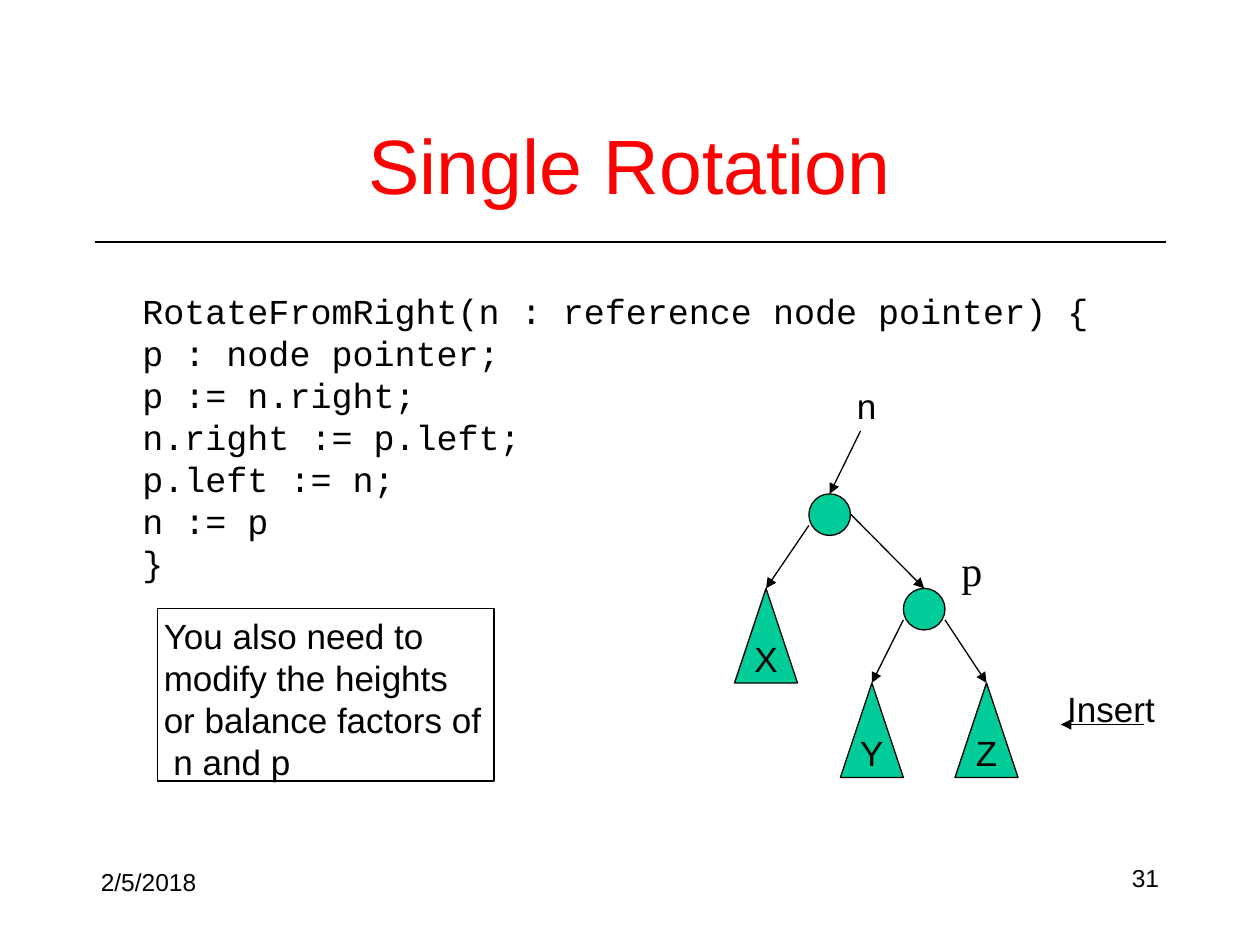
from lxml import etree
from pptx import Presentation
from pptx.dml.color import RGBColor
from pptx.enum.shapes import MSO_CONNECTOR, MSO_SHAPE
from pptx.enum.text import MSO_ANCHOR, MSO_AUTO_SIZE, PP_ALIGN
from pptx.oxml.ns import qn
from pptx.util import Inches, Pt

BLACK, RED, GREEN = "000000", "FF0000", "00CC99"
NODE_SIZE = 0.33
SUBTREE_WIDTH, SUBTREE_HEIGHT = 0.5, 0.75
CODE = [
    "RotateFromRight(n : reference node pointer) {",
    "p : node pointer;",
    "p := n.right;",
    "n.right := p.left;",
    "p.left := n;",
    "n := p",
    "}",
]


def color(hex_code):
    return RGBColor.from_string(hex_code)


def inches(*values):
    return [Inches(value) for value in values]


def write(shape, lines, size=20, font="Arial", ink=BLACK, wrap=True,
          align=PP_ALIGN.LEFT, anchor=MSO_ANCHOR.TOP, line_spacing=None):
    frame = shape.text_frame
    frame_format = {
        "word_wrap": wrap,
        "auto_size": MSO_AUTO_SIZE.NONE,
        "vertical_anchor": anchor,
        **{f"margin_{side}": Inches(0.05)
           for side in ("left", "top", "right", "bottom")},
    }
    for name, value in frame_format.items():
        setattr(frame, name, value)
    for index, line in enumerate(lines):
        paragraph = frame.add_paragraph() if index else frame.paragraphs[0]
        paragraph.text = line
        paragraph.alignment = align
        paragraph.line_spacing = line_spacing
        for name, value in {"name": font, "size": Pt(size)}.items():
            setattr(paragraph.font, name, value)
        paragraph.font.color.rgb = color(ink)


def add_text(slide, box, *lines, **style):
    write(slide.shapes.add_textbox(*inches(*box)), lines, **style)


def add_outlined(slide, kind, box, fill=None, width=0.75):
    shape = slide.shapes.add_shape(kind, *inches(*box))
    shape.shadow.inherit = False
    if fill:
        shape.fill.solid()
        shape.fill.fore_color.rgb = color(fill)
    else:
        shape.fill.background()
    shape.line.color.rgb = color(BLACK)
    shape.line.width = Pt(width)
    return shape


def add_line(slide, start, end, arrow=True, target=None):
    """Draw a line; a target shape is joined at its top."""
    line = slide.shapes.add_connector(MSO_CONNECTOR.STRAIGHT,
                                      *inches(*start, *end))
    line.line.color.rgb = color(BLACK)
    line.line.width = Pt(0.75)
    if arrow:
        etree.SubElement(line.line._get_or_add_ln(), qn("a:tailEnd"),
                         type="triangle")
    etree.SubElement(line._element.spPr, qn("a:effectLst"))
    if target is not None:
        line.end_connect(target, 0)


def add_header(slide, left, top, width, height):
    bottom = top + height
    add_line(slide, (left, bottom), (left + width, bottom), arrow=False)
    add_text(slide, (left, top, width, height), "Single Rotation", size=44,
             ink=RED, align=PP_ALIGN.CENTER, anchor=MSO_ANCHOR.MIDDLE)


def add_node(slide, left, top):
    return add_outlined(slide, MSO_SHAPE.OVAL,
                        (left, top, NODE_SIZE, NODE_SIZE), GREEN)


def add_subtree(slide, left, top, label):
    subtree = add_outlined(slide, MSO_SHAPE.ISOSCELES_TRIANGLE,
                           (left, top, SUBTREE_WIDTH, SUBTREE_HEIGHT), GREEN)
    add_text(slide, (left + 0.1, top + 0.35, 0.3, 0.41), label, wrap=False,
             align=PP_ALIGN.CENTER, anchor=MSO_ANCHOR.MIDDLE)
    return subtree


def add_tree(slide, left, top):
    def at(x, y):
        return left + x, top + y

    node_n = add_node(slide, *at(0.59, 0.92))
    node_p = add_node(slide, *at(1.34, 1.67))
    subtree_x = add_subtree(slide, *at(0, 1.67), "X")
    subtree_y = add_subtree(slide, *at(0.84, 2.42), "Y")
    subtree_z = add_subtree(slide, *at(1.75, 2.42), "Z")

    arrows = [
        ((0.59, 1.17), (0.25, 1.67), subtree_x),
        ((0.92, 1.08), (1.5, 1.67), node_p),
        ((1.34, 1.92), (1.09, 2.42), subtree_y),
        ((1.67, 1.92), (2, 2.42), subtree_z),
        ((1, 0.42), (0.75, 0.92), node_n),
    ]
    for start, end, target in arrows:
        add_line(slide, at(*start), at(*end), target=target)

    add_text(slide, (*at(0.92, 0), 0.27, 0.41), "n", wrap=False)
    add_text(slide, (*at(1.75, 1.27), 0.27, 0.5), "p", size=24,
             font="Times New Roman", wrap=False)
    add_line(slide, at(3.25, 2.75), at(2.59, 2.75))
    add_text(slide, (*at(2.59, 2.41), 1, 0.41), "Insert")


def add_note(slide, *box):
    note = add_outlined(slide, MSO_SHAPE.RECTANGLE, box, width=1)
    write(note, ["You also need to modify the heights "
                 "or balance factors of  n and p"])


def add_footer(slide, left, top, width):
    column = 2.08
    add_text(slide, (left, top, column, 0.34), "2/5/2018", size=14)
    add_text(slide, (left + width - column, top, column, 0.32), "31", size=14,
             align=PP_ALIGN.RIGHT, line_spacing=0.9)


def main():
    presentation = Presentation()
    presentation.slide_width, presentation.slide_height = inches(10, 7.5)
    slide = presentation.slides.add_slide(presentation.slide_layouts[6])
    add_header(slide, 0.75, 0.67, 8.5, 1.25)
    add_text(slide, (1.08, 2.25, 7.78, 2.34), *CODE, font="Courier New",
             wrap=False)
    add_tree(slide, 5.83, 3)
    add_note(slide, 1.25, 4.83, 2.67, 1.37)
    add_footer(slide, 0.75, 6.83, 8.5)
    presentation.save("out.pptx")


if __name__ == "__main__":
    main()
